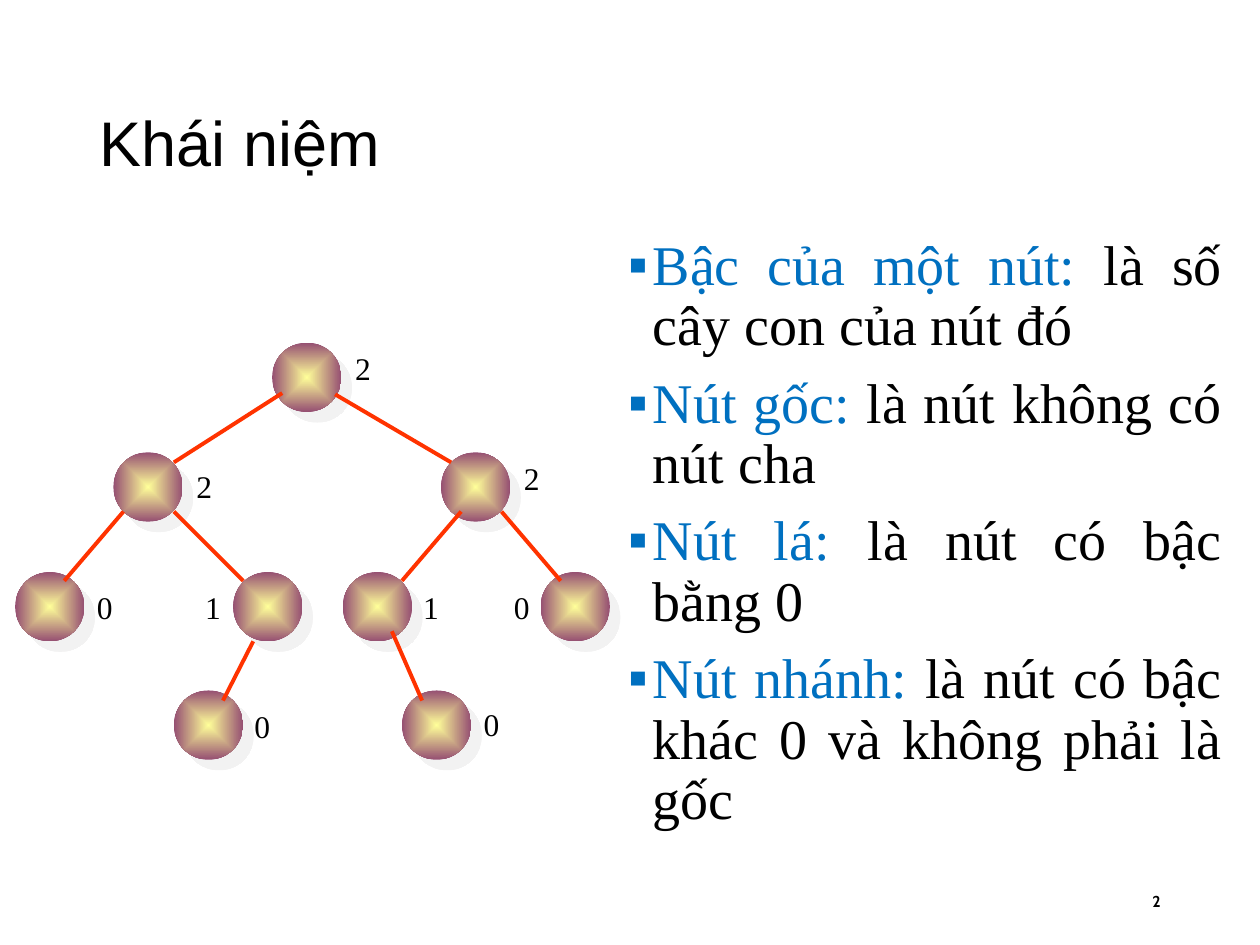
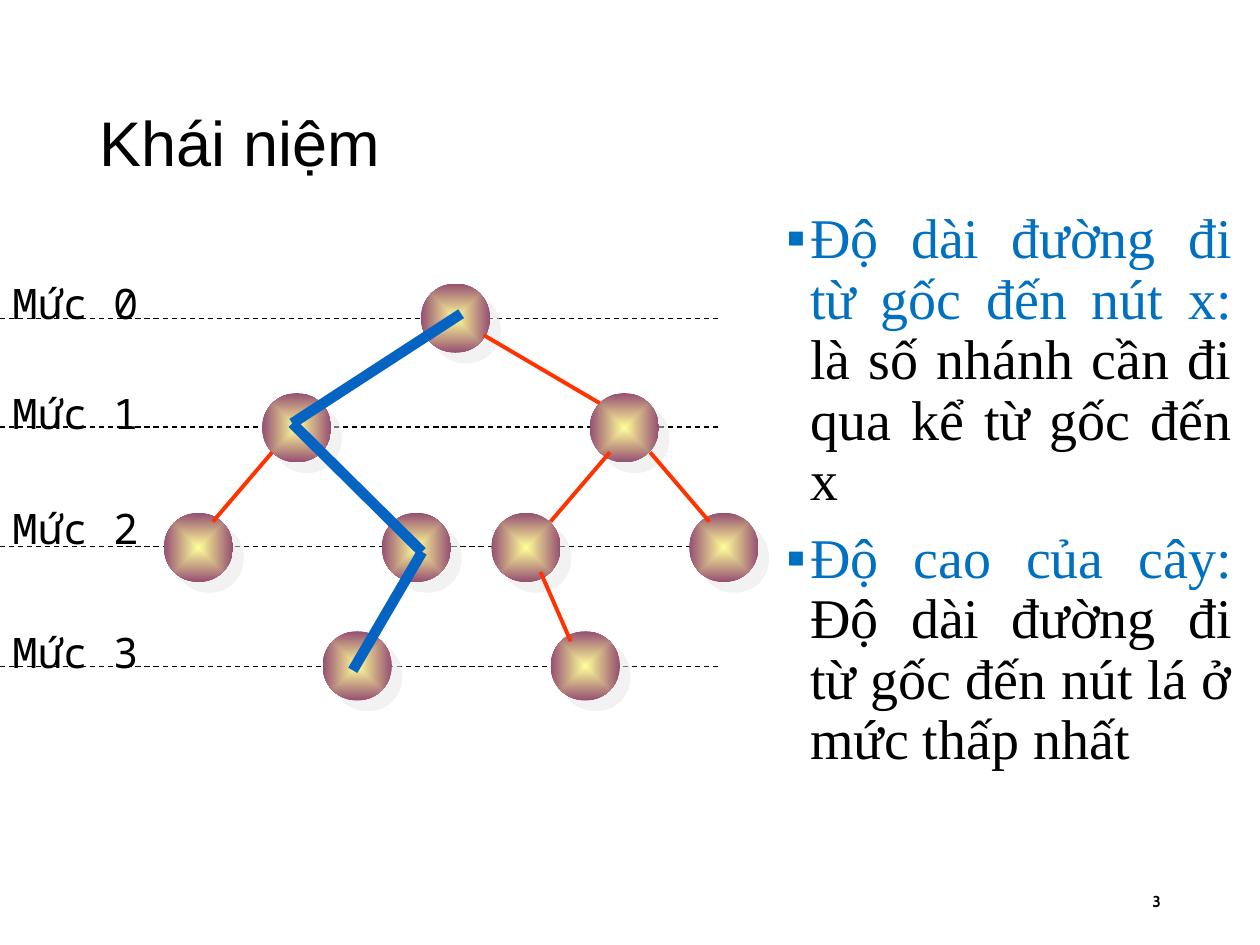
"""Builds two slides on binary tree concepts: node degrees, then levels and height."""
from lxml import etree
from pptx import Presentation
from pptx import util as u
from pptx.dml import color
from pptx.enum import dml, shapes, text
from pptx.oxml import ns

BLACK, BLUE, RED, PATH_BLUE = "000000", "0070C0", "FF3300", "0563C1"
SERIF = "Times New Roman"
NODE_SIZE = 0.55
NODES = [(2.16, 2.72), (0.9, 3.59), (3.5, 3.59), (0.12, 4.54), (1.85, 4.54),
         (2.72, 4.54), (4.29, 4.54), (3.19, 5.48), (1.38, 5.48)]
EDGES = [((2.24, 3.12), (1.38, 3.67)), ((2.66, 3.13), (3.58, 3.67)),
         ((0.98, 4.06), (0.51, 4.61)), ((1.38, 4.06), (1.93, 4.61)),
         ((2.01, 5.09), (1.77, 5.56)), ((3.66, 4.06), (3.19, 4.61)),
         ((3.98, 4.06), (4.45, 4.61)), ((3.11, 5.01), (3.35, 5.56))]
DEGREES = [("2", 2.72, 2.72), ("2", 4.06, 3.59), ("2", 1.46, 3.66),
           ("1", 3.26, 4.62), ("1", 1.53, 4.62), ("0", 0.67, 4.62),
           ("0", 1.92, 5.56), ("0", 3.98, 4.62), ("0", 3.74, 5.55)]
LEVELS = [(2.53, 2.15), (3.39, 3.03), (4.34, 3.94), (5.29, 4.92)]
ROOT_PATH = [(3.66, 2.49), (2.32, 3.36), (3.35, 4.38), (2.8, 5.32)]
DEGREE_TERMS = [
    ("Bậc của một nút: ", "là số cây con của nút đó "),
    ("Nút gốc: ", "là nút không có nút cha"),
    ("Nút lá: ", "là nút có bậc bằng 0 "),
    ("Nút nhánh: ", "là nút có bậc khác 0 và không phải là gốc"),
]
HEIGHT_TERMS = [
    ("Độ dài đường đi từ gốc đến nút x: ", "là số nhánh cần đi qua kể từ gốc đến x"),
    ("Độ cao của cây: ", "Độ dài đường đi từ gốc đến nút lá ở mức thấp nhất"),
]


def rgb(value):
    return color.RGBColor.from_string(value)


def apply(target, values):
    for key, value in values.items():
        setattr(target, key, value)


def add_xml(parent, tag, **attributes):
    return etree.SubElement(parent, ns.qn(tag), attributes)


class TreeDeck:
    """Holds the shared style and the current slide."""

    def __init__(self):
        self.deck = Presentation()
        apply(self.deck, {"slide_width": u.Inches(10), "slide_height": u.Inches(7.5)})

    def add_words(self, paragraph, words, size, font, hue=BLACK, bold=False):
        run = paragraph.add_run()
        run.text = words
        apply(run.font, {"size": u.Pt(size), "name": font, "bold": bold})
        run.font.color.rgb = rgb(hue)

    def place(self, holder, left, top, width, height):
        apply(holder, {"left": u.Inches(left), "top": u.Inches(top),
                       "width": u.Inches(width), "height": u.Inches(height)})

    def start(self, heading, number):
        self.slide = self.deck.slides.add_slide(self.deck.slide_layouts[1])
        title = self.slide.shapes.title
        self.place(title, 0.69, 0.4, 8.62, 1.45)
        apply(title.text_frame, {"vertical_anchor": text.MSO_ANCHOR.MIDDLE,
                                 "auto_size": text.MSO_AUTO_SIZE.NONE})
        line = title.text_frame.paragraphs[0]
        line.alignment = text.PP_ALIGN.LEFT
        self.add_words(line, heading, 36, "Arial")
        self.label(number, (6.62, 6.95, 2.69, 0.4), 9, "Cabin", bold=True,
                   align=text.PP_ALIGN.RIGHT, anchor=text.MSO_ANCHOR.MIDDLE)

    def terms(self, entries, box):
        body = self.slide.placeholders[1]
        self.place(body, *box)
        frame = body.text_frame
        frame.auto_size = text.MSO_AUTO_SIZE.NONE
        for index, (term, meaning) in enumerate(entries):
            line = frame.add_paragraph() if index else frame.paragraphs[0]
            apply(line, {"alignment": text.PP_ALIGN.JUSTIFY, "line_spacing": 0.9,
                         "space_before": u.Pt(9.6)})
            props = line._p.get_or_add_pPr()
            indent = u.Inches(0.19)
            props.set("marL", str(indent))
            props.set("indent", str(-indent))
            add_xml(props, "a:buChar", char="▪")
            self.add_words(line, term, 32, SERIF, BLUE)
            self.add_words(line, meaning, 32, SERIF)

    def label(self, words, box, size, font, bold=False, wrap=True,
              align=text.PP_ALIGN.LEFT, anchor=text.MSO_ANCHOR.TOP):
        frame = self.slide.shapes.add_textbox(*map(u.Inches, box)).text_frame
        apply(frame, {"word_wrap": wrap, "vertical_anchor": anchor})
        frame.paragraphs[0].alignment = align
        self.add_words(frame.paragraphs[0], words, size, font, bold=bold)

    def node(self, left, top):
        ball = self.slide.shapes.add_shape(
            shapes.MSO_SHAPE.OVAL,
            *map(u.Inches, (left, top, NODE_SIZE, NODE_SIZE)))
        ball.line.fill.background()
        ball.fill.gradient()
        for stop, hue, position in zip(ball.fill.gradient_stops,
                                       ("FFFF99", "954F72"), (0, 1)):
            stop.color.rgb = rgb(hue)
            stop.position = position
        props = ball._element.spPr
        gradient = props.find(ns.qn("a:gradFill"))
        gradient.remove(gradient.find(ns.qn("a:lin")))
        glow = add_xml(gradient, "a:path", path="shape")
        add_xml(glow, "a:fillToRect", l="50000", t="50000", r="50000", b="50000")
        ball.shadow.inherit = False
        shade = add_xml(props.find(ns.qn("a:effectLst")), "a:outerShdw", blurRad="0",
                        dist=str(u.Pt(8.5)), dir="2700000", algn="ctr", rotWithShape="0")
        add_xml(add_xml(shade, "a:srgbClr", val="E7E6E6"), "a:alpha", val="50000")

    def line(self, start, end, hue=RED, width=2.25, dash=None):
        link = self.slide.shapes.add_connector(
            shapes.MSO_CONNECTOR.STRAIGHT, *map(u.Inches, (*start, *end)))
        link.line.color.rgb = rgb(hue)
        apply(link.line, {"width": u.Pt(width), "dash_style": dash})
        add_xml(link._element.spPr, "a:effectLst")

    def tree(self, dx=0, dy=0):
        for left, top in NODES:
            self.node(left + dx, top + dy)
        for edge in EDGES:
            self.line(*((x + dx, y + dy) for x, y in edge))

    def level(self, name, line_top, label_top):
        self.line((0, line_top), (5.71, line_top), BLACK, 0.75, dml.MSO_LINE.DASH)
        self.label(name, (0, label_top, 1.56, 0.51), 24, "Noto Sans Mono")


tree_deck = TreeDeck()

tree_deck.start("Khái niệm", "2")
tree_deck.terms(DEGREE_TERMS, (4.89, 1.83, 4.91, 5.3))
tree_deck.tree()
for degree, left, top in DEGREES:
    tree_deck.label(degree, (left, top, 0.33, 0.4), 18, SERIF, wrap=False)

tree_deck.start("Khái niệm", "3")
tree_deck.terms(HEIGHT_TERMS, (6.14, 1.62, 3.74, 5.43))
for depth, tops in enumerate(LEVELS):
    tree_deck.level(f"Mức {depth}", *tops)
tree_deck.tree(1.18, -0.47)
for start, end in zip(ROOT_PATH, ROOT_PATH[1:]):
    tree_deck.line(start, end, PATH_BLUE, 6)

tree_deck.deck.save("out.pptx")
